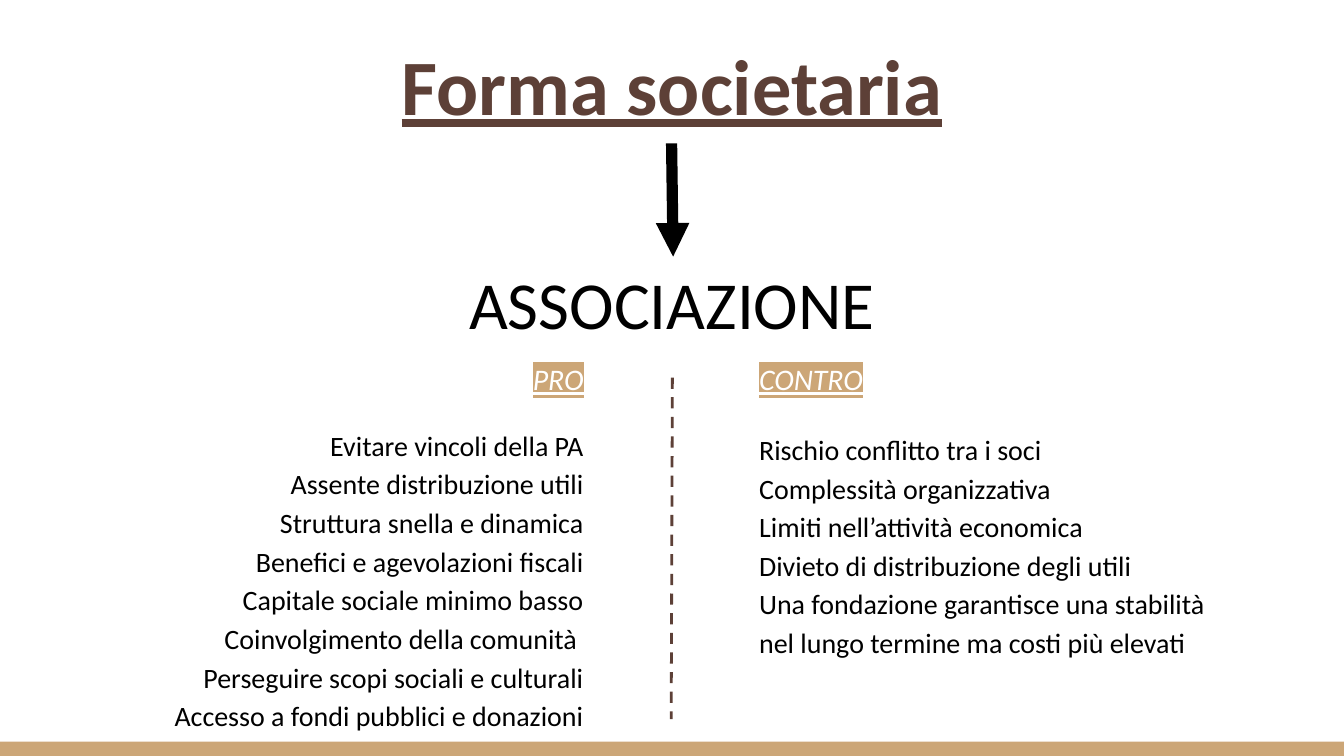
from lxml import etree
from pptx import Presentation
from pptx.dml.color import RGBColor
from pptx.enum.dml import MSO_LINE
from pptx.enum.shapes import MSO_CONNECTOR, MSO_SHAPE
from pptx.enum.text import MSO_ANCHOR, PP_ALIGN
from pptx.oxml.ns import qn
from pptx.util import Pt

LEFT, CENTER, RIGHT = PP_ALIGN.LEFT, PP_ALIGN.CENTER, PP_ALIGN.RIGHT
TOP, MIDDLE = MSO_ANCHOR.TOP, MSO_ANCHOR.MIDDLE
DASH = MSO_LINE.DASH
STRAIGHT, RECTANGLE = MSO_CONNECTOR.STRAIGHT, MSO_SHAPE.RECTANGLE

FONT = "Calibri"
BROWN, TAN, BLACK, WHITE = "5D4037", "CCA677", "000000", "FFFFFF"
INSET = 7.2
LINE_SPACING = 1.15

PROS = [
    "Evitare vincoli della PA",
    "Assente distribuzione utili",
    "Struttura snella e dinamica",
    "Benefici e agevolazioni fiscali",
    "Capitale sociale minimo basso",
    "Coinvolgimento della comunità ",
    "Perseguire scopi sociali e culturali",
    "Accesso a fondi pubblici e donazioni",
]
CONS = [
    "Rischio conflitto tra i soci",
    "Complessità organizzativa",
    "Limiti nell’attività economica",
    "Divieto di distribuzione degli utili",
    "Una fondazione garantisce una stabilità",
    "nel lungo termine ma costi più elevati",
]


def color(hex_code):
    return RGBColor.from_string(hex_code)


def add_frame(slide, left, top, width, height, anchor):
    box = slide.shapes.add_textbox(Pt(left), Pt(top), Pt(width), Pt(height))
    frame = box.text_frame
    frame.word_wrap = True
    frame.vertical_anchor = anchor
    frame.margin_left = frame.margin_right = Pt(INSET)
    frame.margin_top = frame.margin_bottom = Pt(INSET)
    return frame


def add_run(paragraph, text, size, hex_code, highlight=None):
    run = paragraph.add_run()
    run.text = text
    font = run.font
    font.size = Pt(size)
    font.color.rgb = color(hex_code)
    if highlight:
        marker = etree.SubElement(font._element, qn("a:highlight"))
        etree.SubElement(marker, qn("a:srgbClr"), val=highlight)
    font.name = FONT
    return font


def add_heading(slide, text, left, top, width, height, size, hex_code):
    frame = add_frame(slide, left, top, width, height, MIDDLE)
    paragraph = frame.paragraphs[0]
    paragraph.alignment = CENTER
    return paragraph, add_run(paragraph, text, size, hex_code)


def add_column(slide, label, items, left, width, height, align, gap):
    frame = add_frame(slide, left, 185.8, width, height, TOP)
    header = frame.paragraphs[0]
    header.alignment = align
    header.space_after = Pt(gap)
    label_font = add_run(header, label, 16, WHITE, TAN)
    label_font.italic = label_font.underline = True
    for item in items:
        paragraph = frame.add_paragraph()
        paragraph.alignment = align
        paragraph.line_spacing = LINE_SPACING
        add_run(paragraph, item, 15, BLACK)


def add_line(slide, x1, y1, x2, y2, hex_code, width):
    connector = slide.shapes.add_connector(STRAIGHT, Pt(x1), Pt(y1), Pt(x2), Pt(y2))
    connector.line.color.rgb = color(hex_code)
    connector.line.width = Pt(width)
    etree.SubElement(connector._element.spPr, qn("a:effectLst"))
    return connector.line


def add_footer_bar(slide):
    bar = slide.shapes.add_shape(RECTANGLE, Pt(0), Pt(397.4), Pt(720), Pt(8))
    bar.shadow.inherit = False
    bar.fill.solid()
    bar.fill.fore_color.rgb = color(TAN)
    bar.line.fill.background()


def main():
    presentation = Presentation()
    presentation.slide_width, presentation.slide_height = Pt(720), Pt(405)
    slide = presentation.slides.add_slide(presentation.slide_layouts[6])

    add_footer_bar(slide)

    _, title_font = add_heading(
        slide, "Forma societaria", 24.5, 11.5, 671, 67, 42, BROWN)
    title_font.bold = title_font.underline = True

    association, _ = add_heading(
        slide, "ASSOCIAZIONE", 190, 115.2, 340, 87.1, 36, BLACK)
    association.line_spacing = LINE_SPACING
    association.space_after = Pt(12)

    arrow = add_line(slide, 359.8, 76.8, 360.6, 137.5, BLACK, 6)
    etree.SubElement(arrow._get_or_add_ln(), qn("a:tailEnd"), type="triangle")

    add_column(slide, "PRO", PROS, -29.5, 349.2, 219.6, RIGHT, 14.6)
    add_column(slide, "CONTRO", CONS, 399.6, 335.5, 180.7, LEFT, 16.8)

    divider = add_line(slide, 360.2, 202.3, 359.6, 385.2, BROWN, 1.5)
    divider.dash_style = DASH

    presentation.save("out.pptx")


if __name__ == "__main__":
    main()
